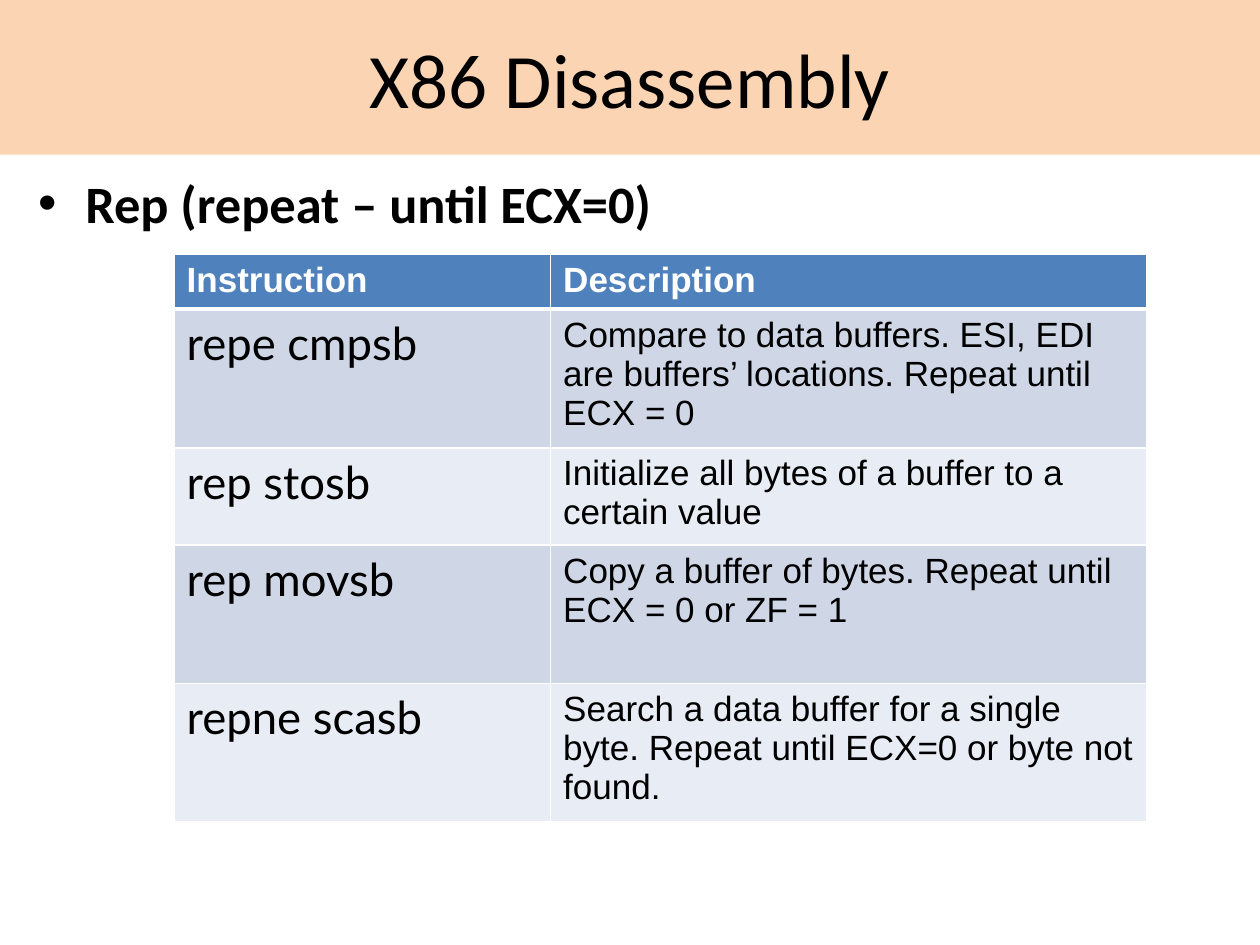
"""Build the X86 disassembly slide on the rep string instructions."""
from lxml.etree import SubElement
from pptx import Presentation
from pptx.dml.color import RGBColor
from pptx.enum.shapes import MSO_SHAPE
from pptx.enum.text import MSO_ANCHOR, PP_ALIGN
from pptx.oxml import parse_xml
from pptx.oxml.ns import nsdecls, qn
from pptx.util import Cm, Pt

BLACK = RGBColor(0x00, 0x00, 0x00)
WHITE = RGBColor(0xFF, 0xFF, 0xFF)
PEACH = RGBColor(0xFB, 0xD4, 0xB4)
HEADER_BLUE = RGBColor(0x4F, 0x81, 0xBD)
BANDS = [RGBColor(0xE8, 0xEC, 0xF4), RGBColor(0xCF, 0xD7, 0xE7)]


def write(frame, text, font="Arial", size=20, color=BLACK, bold=False, align=PP_ALIGN.LEFT):
    frame.word_wrap = True
    paragraph = frame.paragraphs[0]
    paragraph.alignment = align
    run = paragraph.add_run()
    run.text = text
    run.font.name = font
    run.font.size = Pt(size)
    run.font.bold = bold
    run.font.color.rgb = color
    return paragraph


def add_borders(cell, widths):
    properties = cell._tc.get_or_add_tcPr()
    for position, (side, width) in enumerate(widths.items()):
        properties.insert(position, parse_xml(
            f'<a:ln{side} {nsdecls("a")} w="{Pt(width)}"><a:solidFill>'
            f'<a:srgbClr val="{WHITE}"/></a:solidFill></a:ln{side}>'))


deck = Presentation()
deck.slide_width, deck.slide_height = Cm(25.4), Cm(19.05)
slide = deck.slides.add_slide(deck.slide_layouts[6])

banner = slide.shapes.add_shape(MSO_SHAPE.RECTANGLE, 0, 0, deck.slide_width, Cm(3.12))
banner.shadow.inherit = False
banner.fill.solid()
banner.fill.fore_color.rgb = PEACH
banner.line.fill.background()
banner.text_frame.vertical_anchor = MSO_ANCHOR.MIDDLE
write(banner.text_frame, "X86 Disassembly", font="Calibri", size=44, align=PP_ALIGN.CENTER)

topic = slide.shapes.add_textbox(Cm(0.51), Cm(3.33), Cm(24.41), Cm(14.2))
heading = write(topic.text_frame, "Rep (repeat – until ECX=0)", font="Calibri", size=30, bold=True)
bullet = heading._p.get_or_add_pPr()
bullet.set("marL", str(Cm(0.96)))
bullet.set("indent", str(Cm(-0.95)))
SubElement(SubElement(bullet, qn("a:buClr")), qn("a:srgbClr"), val=str(BLACK))
SubElement(bullet, qn("a:buFont"), typeface="Arial")
SubElement(bullet, qn("a:buChar"), char="•")

rows = [
    ("Instruction", "Description"),
    ("repe cmpsb", "Compare to data buffers. ESI, EDI are buffers’ locations. Repeat until ECX = 0"),
    ("rep stosb", "Initialize all bytes of a buffer to a certain value"),
    ("rep movsb", "Copy a buffer of bytes. Repeat until ECX = 0 or ZF = 1"),
    ("repne scasb", "Search a data buffer for a single byte. Repeat until ECX=0 or byte not found."),
]
column_widths = [7.59, 12.01]
row_heights = [1.09, 2.79, 1.96, 2.79, 2.79]
instructions = slide.shapes.add_table(
    len(rows), len(column_widths), Cm(3.51), Cm(5.13),
    Cm(sum(column_widths)), Cm(sum(row_heights))).table
for column, width in zip(instructions.columns, column_widths):
    column.width = Cm(width)
for row, height in zip(instructions.rows, row_heights):
    row.height = Cm(height)

for r, texts in enumerate(rows):
    for c, text in enumerate(texts):
        cell = instructions.cell(r, c)
        cell.fill.solid()
        cell.fill.fore_color.rgb = BANDS[r % 2] if r else HEADER_BLUE
        add_borders(cell, {"L": 0.96, "R": 0.96, "T": 3 if r == 1 else 0.96, "B": 0.96 if r else 3})
        if r == 0:
            write(cell.text_frame, text, color=WHITE, bold=True)
        elif c == 0:
            write(cell.text_frame, text, font="Lato", size=26)
        else:
            write(cell.text_frame, text)

deck.save("out.pptx")
